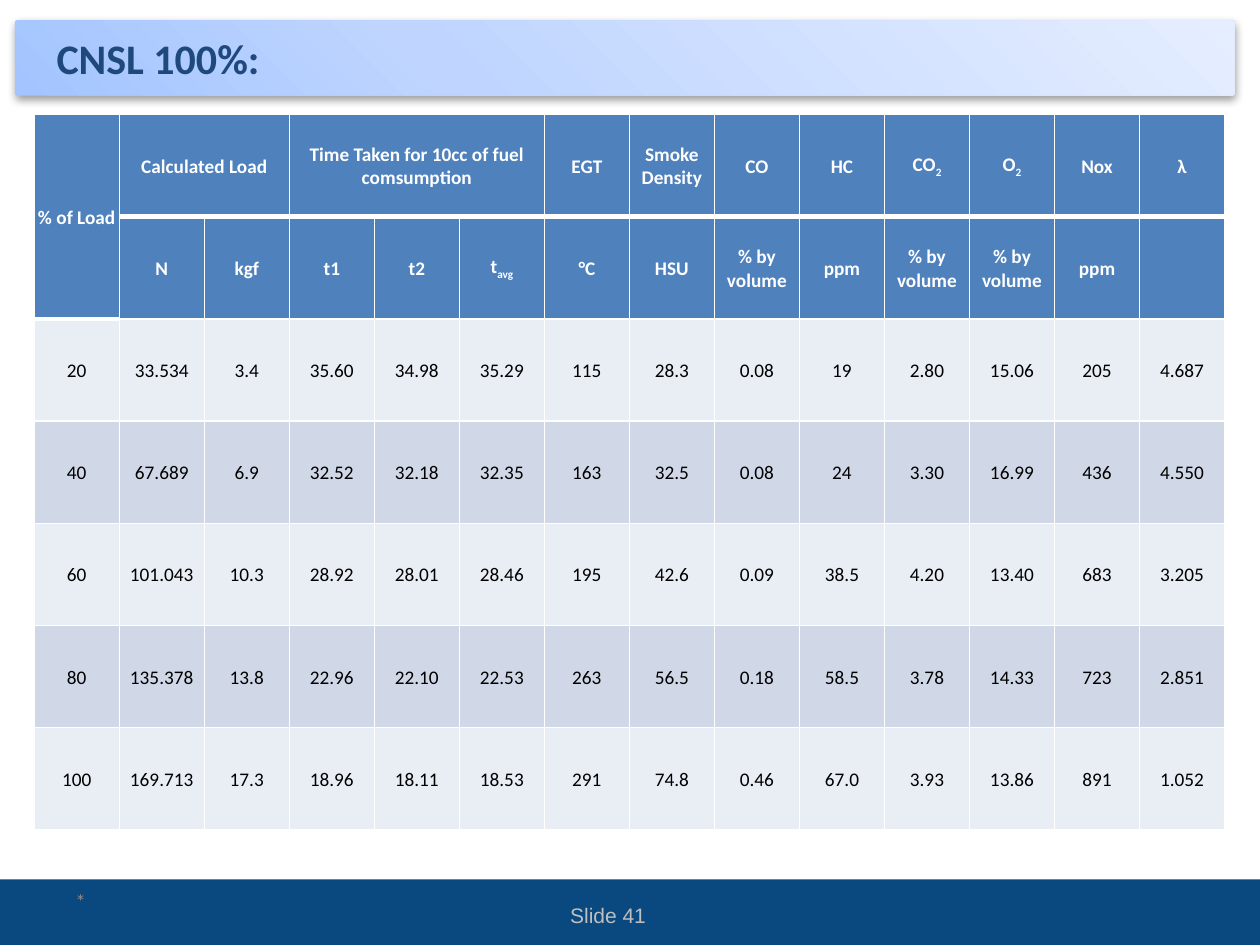
from lxml import etree
from pptx import Presentation
from pptx.dml.color import RGBColor
from pptx.enum.shapes import MSO_SHAPE as Shape
from pptx.enum.text import MSO_ANCHOR as Anchor, PP_ALIGN as Align
from pptx.oxml import parse_xml
from pptx.oxml.ns import nsdecls, qn
from pptx.util import Cm, Pt

WHITE = RGBColor(0xFF, 0xFF, 0xFF)
BLACK = RGBColor(0, 0, 0)
NAVY = RGBColor(0x0A, 0x48, 0x80)
TITLE_BLUE = RGBColor(0x1F, 0x49, 0x7D)
HEADER_BLUE = RGBColor(0x4F, 0x81, 0xBD)
BANDS = [RGBColor(0xE9, 0xED, 0xF4), RGBColor(0xD0, 0xD8, 0xE8)]
LIGHT_GREY = RGBColor(0xBF, 0xBF, 0xBF)
GREY = RGBColor(0x89, 0x89, 0x89)
TITLE_STOPS = [(0, RGBColor(0xA3, 0xC4, 0xFF)), (35, RGBColor(0xBF, 0xD5, 0xFF)),
               (100, RGBColor(0xE5, 0xEE, 0xFF))]

# Content: text after "_" in a header is a subscript
HEADERS = [
    ["% of Load", "Calculated Load", "", "Time Taken for 10cc of fuel comsumption", "", "",
     "EGT", "Smoke Density", "CO", "HC", "CO_2", "O_2", "Nox", "λ"],
    ["", "N", "kgf", "t1", "t2", "t_avg", "°C", "HSU", "% by volume", "ppm",
     "% by volume", "% by volume", "ppm", ""],
]
READINGS = [
    "20 33.534 3.4 35.60 34.98 35.29 115 28.3 0.08 19 2.80 15.06 205 4.687",
    "40 67.689 6.9 32.52 32.18 32.35 163 32.5 0.08 24 3.30 16.99 436 4.550",
    "60 101.043 10.3 28.92 28.01 28.46 195 42.6 0.09 38.5 4.20 13.40 683 3.205",
    "80 135.378 13.8 22.96 22.10 22.53 263 56.5 0.18 58.5 3.78 14.33 723 2.851",
    "100 169.713 17.3 18.96 18.11 18.53 291 74.8 0.46 67.0 3.93 13.86 891 1.052",
]
MERGES = [((0, 0), (1, 0)), ((0, 1), (0, 2)), ((0, 3), (0, 5))]

# text, left, top, width, height (cm), size, font, colour, bold, alignment
LABELS = [
    ("CNSL 100%:", 0.89, 0.53, 20.78, 1.27, 24, "Calibri", TITLE_BLUE, True, Align.LEFT),
    ("Slide 41", 9.3, 17.93, 5.92, 1.02, 12, "Arial", LIGHT_GREY, False, Align.CENTER),
    ("*", 1.27, 17.65, 5.92, 1.02, 12, "Calibri", GREY, False, Align.LEFT),
]


def style(font, size, name, colour, bold):
    font.size, font.name, font.bold = Pt(size), name, bold
    font.color.rgb = colour


def add_panel(slide, kind, left, top, width, height):
    panel = slide.shapes.add_shape(kind, Cm(left), Cm(top), Cm(width), Cm(height))
    panel.shadow.inherit = False
    panel.line.fill.background()
    return panel


def add_title_bar(slide):
    bar = add_panel(slide, Shape.ROUNDED_RECTANGLE, 0.3, 0.41, 24.59, 1.52)
    bar.adjustments[0] = 0.04
    bar.fill.gradient()
    gradient = bar.fill._xPr.find(qn("a:gradFill"))
    stops = "".join(f'<a:gs pos="{at * 1000}"><a:srgbClr val="{colour}"/></a:gs>'
                    for at, colour in TITLE_STOPS)
    gradient.getparent().replace(gradient, parse_xml(
        f'<a:gradFill {nsdecls("a")} rotWithShape="1"><a:gsLst>{stops}</a:gsLst>'
        '<a:lin ang="18900000" scaled="0"/></a:gradFill>'))
    effects = bar._element.spPr.find(qn("a:effectLst"))
    effects.append(parse_xml(
        f'<a:outerShdw {nsdecls("a")} blurRad="{Pt(5)}" dist="{Pt(1.6)}" dir="5400000" '
        'rotWithShape="0"><a:srgbClr val="000000"><a:alpha val="38000"/></a:srgbClr>'
        '</a:outerShdw>'))


def add_label(slide, text, left, top, width, height, size, font, colour, bold, alignment):
    box = slide.shapes.add_textbox(Cm(left), Cm(top), Cm(width), Cm(height))
    frame = box.text_frame
    frame.word_wrap = True
    frame.vertical_anchor = Anchor.MIDDLE
    frame.text = text
    paragraph = frame.paragraphs[0]
    paragraph.alignment = alignment
    style(paragraph.runs[0].font, size, font, colour, bold)


def set_borders(cell, top, bottom):
    properties = cell._tc.get_or_add_tcPr()
    for side, width in (("L", 1), ("R", 1), ("T", top), ("B", bottom)):
        line = etree.SubElement(properties, qn(f"a:ln{side}"), w=str(Pt(width)))
        fill = etree.SubElement(line, qn("a:solidFill"))
        etree.SubElement(fill, qn("a:srgbClr"), val=str(WHITE))


def fill_cell(cell, text, colour, is_header):
    cell.fill.solid()
    cell.fill.fore_color.rgb = colour
    cell.margin_left = cell.margin_right = cell.margin_top = Cm(0.03)
    cell.margin_bottom = 0
    cell.vertical_anchor = Anchor.MIDDLE
    paragraph = cell.text_frame.paragraphs[0]
    paragraph.alignment = Align.CENTER
    for index, part in enumerate(text.split("_") if text else []):
        run = paragraph.add_run()
        run.text = part
        style(run.font, 11, "Calibri", WHITE if is_header else BLACK, is_header)
        if index:
            run._r.get_or_add_rPr().set("baseline", "-25000")


def add_readings_table(slide):
    rows = HEADERS + [line.split() for line in READINGS]
    width, height = Cm(24), Cm(14.42)
    table = slide.shapes.add_table(len(rows), len(rows[0]), Cm(0.69), Cm(2.31),
                                   width, height).table
    table.first_row = table.horz_banding = False
    for column in table.columns:
        column.width = width // len(rows[0])
    for row in table.rows:
        row.height = height // len(rows)

    def rule_below(row, column):
        return 3 if row == 0 or (row, column) == (1, 0) else 1

    for r, texts in enumerate(rows):
        is_header = r < len(HEADERS)
        colour = HEADER_BLUE if is_header else BANDS[(r - len(HEADERS)) % 2]
        for c, text in enumerate(texts):
            cell = table.cell(r, c)
            set_borders(cell, rule_below(r - 1, c), rule_below(r, c))
            fill_cell(cell, text, colour, is_header)
    for first, last in MERGES:
        table.cell(*first).merge(table.cell(*last))


def main():
    presentation = Presentation()
    presentation.slide_width, presentation.slide_height = Cm(25.4), Cm(19.05)
    slide = presentation.slides.add_slide(presentation.slide_layouts[6])

    # Footer band and title bar
    footer = add_panel(slide, Shape.RECTANGLE, 0, 17.73, 25.4, 1.32)
    footer.fill.solid()
    footer.fill.fore_color.rgb = NAVY
    add_title_bar(slide)

    # Title and footer texts, then the table
    for label in LABELS:
        add_label(slide, *label)
    add_readings_table(slide)
    presentation.save("out.pptx")


if __name__ == "__main__":
    main()
